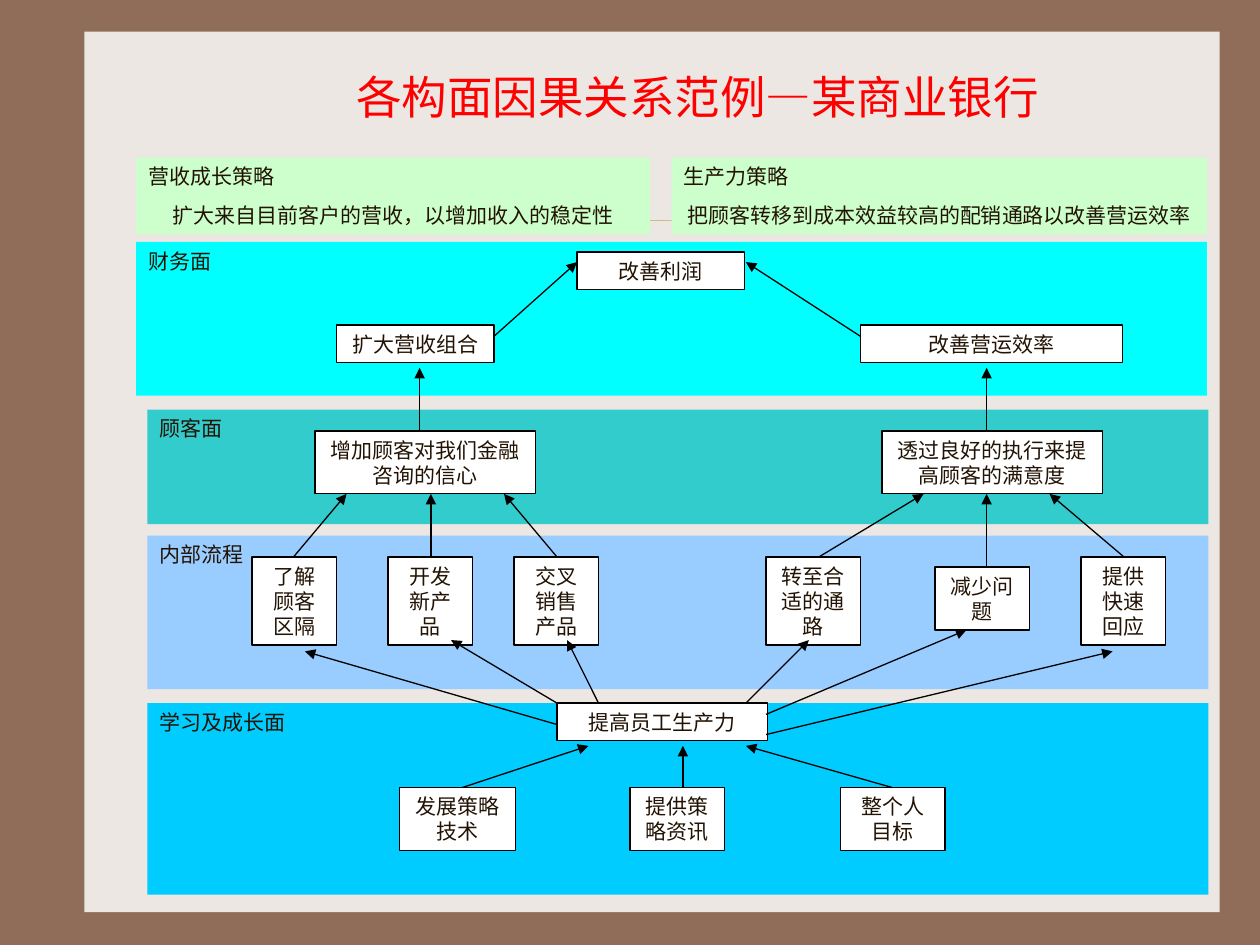
from dataclasses import dataclass

from lxml import etree
from pptx import Presentation
from pptx.dml.color import RGBColor
from pptx.enum.shapes import MSO_CONNECTOR, MSO_SHAPE
from pptx.enum.text import MSO_ANCHOR, PP_ALIGN
from pptx.oxml.ns import qn
from pptx.util import Inches, Pt

RECTANGLE = MSO_SHAPE.RECTANGLE
STRAIGHT = MSO_CONNECTOR.STRAIGHT
LEFT, CENTER = PP_ALIGN.LEFT, PP_ALIGN.CENTER
TOP = MSO_ANCHOR.TOP


@dataclass(frozen=True)
class Theme:
    """Colours, font and sizes of the strategy map."""
    backdrop: str = "906D58"
    paper: str = "EDE7E3"
    rule: str = "CBBD83"
    title: str = "FF0000"
    ink: str = "221304"
    outline: str = "000000"
    node: str = "FFFFFF"
    strategy: str = "CCFFCC"
    finance: str = "00FFFF"
    customer: str = "33CCCC"
    process: str = "99CCFF"
    learning: str = "00CCFF"
    font: str = "Times New Roman"
    title_size: float = 26
    body_size: float = 12
    paragraph_gap: float = 7.5
    outline_width: float = 0.75
    rule_width: float = 0.25


THEME = Theme()

STRATEGIES = [
    (1.08, 4.08, "营收成长策略", "扩大来自目前客户的营收，以增加收入的稳定性"),
    (5.33, 4.25, "生产力策略", "把顾客转移到成本效益较高的配销通路以改善营运效率"),
]

PERSPECTIVES = [
    (1.08, 1.92, 8.5, 1.22, THEME.finance, "财务面"),
    (1.17, 3.25, 8.42, 0.91, THEME.customer, "顾客面"),
    (1.17, 4.25, 8.42, 1.22, THEME.process, "内部流程"),
    (1.17, 5.58, 8.42, 1.52, THEME.learning, "学习及成长面"),
]

OBJECTIVE_ROWS = [
    (2, 0.3, [(4.58, 1.33, "改善利润")]),
    (2.58, 0.3, [(2.67, 1.25, "扩大营收组合"), (6.83, 2.08, "改善营运效率")]),
    (3.42, 0.5, [(2.5, 1.75, "增加顾客对我们金融咨询的信心"),
                 (7, 1.75, "透过良好的执行来提高顾客的满意度")]),
    (4.42, 0.7, [(2, 0.67, "了解顾客区隔"), (3.08, 0.67, "开发新产品"),
                 (4.08, 0.67, "交叉销售产品"), (6.08, 0.75, "转至合适的通路"),
                 (8.58, 0.67, "提供快速回应")]),
    (4.5, 0.5, [(7.42, 0.75, "减少问题")]),
    (5.58, 0.3, [(4.42, 1.67, "提高员工生产力")]),
    (6.25, 0.5, [(3.17, 0.92, "发展策略技术"), (5, 0.75, "提供策略资讯"),
                 (6.67, 0.83, "整个人目标")]),
]

CAUSE_ROWS = [
    (6.25, 5.92, [(5.42, 5.42), (3.67, 4.67), (7.08, 5.92)]),
    (5.75, 5.17, [(4.42, 2.42)]),
    (5.58, 5.08, [(4.42, 3.58), (4.75, 4.5), (5.92, 6.42)]),
    (5.67, 5, [(6.08, 7.67)]),
    (5.83, 5.17, [(6.08, 8.83)]),
    (4.42, 3.92, [(3.42, 3.42), (2.33, 2.75), (4.42, 4), (6.5, 7.33), (8.92, 8.33)]),
    (4.5, 3.92, [(7.83, 7.83)]),
    (3.42, 2.92, [(3.33, 3.33), (7.83, 7.83)]),
    (2.67, 2.08, [(3.92, 4.58), (6.83, 5.92)]),
]


def rgb(colour):
    """Turn a hex string into a colour."""
    return RGBColor.from_string(colour)


def style_text(paragraph, align, size, colour):
    """Align a paragraph and format its runs."""
    paragraph.alignment = align
    for run in paragraph.runs:
        run.font.name = THEME.font
        run.font.size = Pt(size)
        run.font.color.rgb = rgb(colour)


def add_block(slide, left, top, width, height, fill, texts=(), outlined=False):
    """Add a filled rectangle holding (text, alignment) paragraphs."""
    block = slide.shapes.add_shape(
        RECTANGLE, Inches(left), Inches(top), Inches(width), Inches(height))
    block.shadow.inherit = False
    block.fill.solid()
    block.fill.fore_color.rgb = rgb(fill)
    if outlined:
        block.line.color.rgb = rgb(THEME.outline)
        block.line.width = Pt(THEME.outline_width)
    else:
        block.line.fill.background()
    frame = block.text_frame
    frame.word_wrap = True
    frame.vertical_anchor = TOP
    for index, (text, align) in enumerate(texts):
        paragraph = frame.add_paragraph() if index else frame.paragraphs[0]
        paragraph.text = text
        if index:
            paragraph.space_before = Pt(THEME.paragraph_gap)
        style_text(paragraph, align, THEME.body_size, THEME.ink)
    return block


def add_line(slide, start, end, colour, width):
    """Add a straight connector between two points."""
    line = slide.shapes.add_connector(STRAIGHT, *map(Inches, (*start, *end)))
    line.line.color.rgb = rgb(colour)
    line.line.width = Pt(width)
    etree.SubElement(line.element.spPr, qn("a:effectLst"))
    return line


def add_arrow(slide, start, end):
    """Add a cause-and-effect arrow that points to its end."""
    arrow = add_line(slide, start, end, THEME.outline, THEME.outline_width)
    outline = arrow.element.spPr.find(qn("a:ln"))
    etree.SubElement(outline, qn("a:tailEnd"), type="triangle")


def set_title(slide, text):
    """Place and format the slide title."""
    title = slide.shapes.title
    title.left, title.top = Inches(2), Inches(0.5)
    title.width, title.height = Inches(7.08), Inches(0.54)
    title.text_frame.text = text
    title.text_frame.word_wrap = True
    title.text_frame.vertical_anchor = TOP
    style_text(title.text_frame.paragraphs[0], CENTER, THEME.title_size, THEME.title)


def add_paper(slide):
    """Lay the page panel beneath the title on a coloured backdrop."""
    slide.background.fill.solid()
    slide.background.fill.fore_color.rgb = rgb(THEME.backdrop)
    paper = add_block(slide, 0.67, 0.25, 9.01, 6.99, THEME.paper)
    slide.shapes.title.element.addprevious(paper.element)
    add_line(slide, (1.11, 1.75), (9.5, 1.75), THEME.rule, THEME.rule_width)


def main():
    """Build the strategy map and save it."""
    deck = Presentation()
    deck.slide_width, deck.slide_height = Inches(10), Inches(7.5)
    slide = deck.slides.add_slide(deck.slide_layouts[5])
    add_paper(slide)
    set_title(slide, "各构面因果关系范例—某商业银行")
    for left, width, heading, goal in STRATEGIES:
        add_block(slide, left, 1.25, width, 0.61, THEME.strategy,
                  [(heading, LEFT), (goal, CENTER)])
    for left, top, width, height, fill, label in PERSPECTIVES:
        add_block(slide, left, top, width, height, fill, [(label, LEFT)])
    for top, height, objectives in OBJECTIVE_ROWS:
        for left, width, objective in objectives:
            add_block(slide, left, top, width, height, THEME.node,
                      [(objective, CENTER)], outlined=True)
    for start_y, end_y, spans in CAUSE_ROWS:
        for start_x, end_x in spans:
            add_arrow(slide, (start_x, start_y), (end_x, end_y))
    deck.save("out.pptx")


if __name__ == "__main__":
    main()
